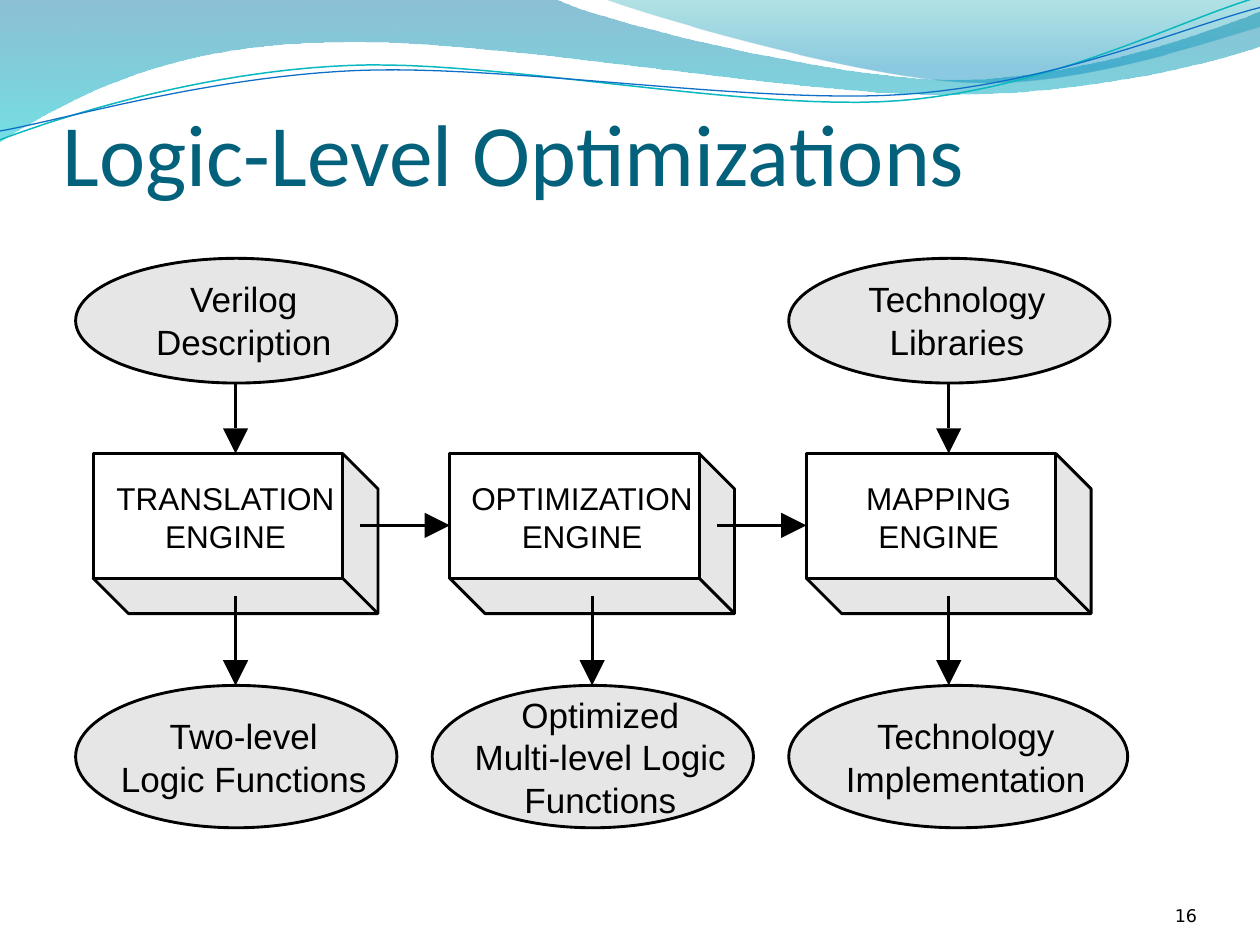
from dataclasses import dataclass

from lxml import etree
from pptx import Presentation
from pptx.dml.color import RGBColor
from pptx.enum.shapes import MSO_CONNECTOR, MSO_SHAPE
from pptx.enum.text import MSO_ANCHOR, PP_ALIGN
from pptx.oxml.ns import qn
from pptx.util import Inches, Pt

OVAL, RECTANGLE = MSO_SHAPE.OVAL, MSO_SHAPE.RECTANGLE
STRAIGHT = MSO_CONNECTOR.STRAIGHT
TOP, BOTTOM = MSO_ANCHOR.TOP, MSO_ANCHOR.BOTTOM
LEFT, CENTER, RIGHT = PP_ALIGN.LEFT, PP_ALIGN.CENTER, PP_ALIGN.RIGHT
Point = tuple[float, float]
Stop = tuple[float, str, int]


@dataclass(frozen=True)
class Theme:
    ink: str = "000000"
    paper: str = "FFFFFF"
    shade: str = "E6E6E6"
    title: str = "04617B"
    title_size: int = 50
    oval_size: int = 20
    block_size: int = 18
    number_size: int = 10
    outline: float = 1.63


@dataclass(frozen=True)
class Wave:
    """Segments hold one point for a line, three for a curve."""
    start: Point
    segments: tuple[tuple[float, ...], ...]
    stops: tuple[Stop, ...] = ()
    line: str = ""
    width: float = 0


@dataclass(frozen=True)
class Line:
    text: str
    width: float


@dataclass(frozen=True)
class Oval:
    column: int
    top: float
    height: float
    text_top: float
    lines: tuple[Line, ...]
    width: float = 2.55


THEME = Theme()
COLUMNS = [1.87 + 2.83 * index for index in range(3)]
OVAL_HALF, TEXT_SHIFT = 1.27, 0.06
UPPER_TOP, UPPER_HEIGHT = 2.05, 0.99
LOWER_TOP, LOWER_HEIGHT = 5.44, 1.13
BLOCK_TOP, BLOCK_WIDTH, BLOCK_HEIGHT, DEPTH = 3.6, 1.98, 0.99, 0.28
BLOCK_OFFSET = 1.13
HEAD = 0.2

WAVES = [
    Wave((0, -0.01), ((4.4, -0.01), (4.76, 0.17, 6.64, 0.63, 7.58, 0.63),
                      (8.53, 0.63, 9.58, 0.26, 10, 0.09), (10.01, 0.36),
                      (9.83, 0.44, 8.7, 0.76, 7.46, 0.75),
                      (6.22, 0.75, 3.82, 0.28, 2.57, 0.34),
                      (1.29, 0.35, 0.46, 0.83, -0.01, 1.13)),
         stops=((0, "0074A1", 45), (1, "00C6CF", 55))),
    Wave((4.79, -0.01), ((5.09, 0.11, 6.82, 0.62, 7.69, 0.65),
                         (8.56, 0.69, 9.61, 0.32, 10, 0.21), (10, 0)),
         stops=((0, "00A1A9", 30), (0.8, "008BBF", 45))),
    Wave((0, 1.11), ((0.48, 0.93, 1.58, 0.57, 2.77, 0.52),
                     (3.95, 0.47, 5.93, 0.89, 7.13, 0.8),
                     (8.33, 0.71, 9.38, 0.15, 9.98, -0.02)),
         line="0AB8BF", width=0.85),
    Wave((0, 1.04), ((0.47, 0.96, 1.64, 0.61, 2.83, 0.56),
                     (4.03, 0.51, 5.97, 0.83, 7.17, 0.75),
                     (8.36, 0.67, 9.41, 0.21, 10, 0.06)),
         line="0F6FC6", width=0.75),
]
OVALS = [
    Oval(0, UPPER_TOP, UPPER_HEIGHT, 2.2, (Line("Verilog", 1.01), Line("Description", 1.54))),
    Oval(2, UPPER_TOP, UPPER_HEIGHT, 2.2, (Line("Technology", 1.59), Line("Libraries", 1.21))),
    Oval(0, LOWER_TOP, LOWER_HEIGHT, 5.67, (Line("Two-level", 1.34), Line("Logic Functions", 2.11))),
    Oval(1, LOWER_TOP, LOWER_HEIGHT, 5.5, (Line("Optimized", 1.4), Line("Multi-level Logic", 2.16),
                                           Line("Functions", 1.35))),
    Oval(2, LOWER_TOP, LOWER_HEIGHT, 5.67, (Line("Technology", 1.59), Line("Implementation", 2.07)), 2.69),
]
BLOCKS = [Line("TRANSLATION", 1.91), Line("OPTIMIZATION", 1.94), Line("MAPPING", 1.29)]


def paint(shape, fill: str = "", line: str = "", width: float = THEME.outline) -> None:
    shape.shadow.inherit = False
    for part, color in ((shape.fill, fill), (shape.line.fill, line)):
        if color:
            part.solid()
            part.fore_color.rgb = RGBColor.from_string(color)
        else:
            part.background()
    if line:
        shape.line.width = Pt(width)


def add_outline(slide, points: list[Point], closed: bool = True):
    scaled = [(Inches(x), Inches(y)) for x, y in points]
    builder = slide.shapes.build_freeform(*scaled[0], scale=1.0)
    builder.add_line_segments(scaled[1:], close=closed)
    return builder.convert_to_shape()


def trace(wave: Wave, steps: int = 24) -> list[Point]:
    points = [wave.start]
    for segment in wave.segments:
        if len(segment) == 2:
            points.append((segment[0], segment[1]))
            continue
        xs, ys = ((points[-1][axis], *segment[axis::2]) for axis in (0, 1))
        for step in range(1, steps + 1):
            t = step / steps
            weights = ((1 - t) ** 3, 3 * t * (1 - t) ** 2, 3 * t * t * (1 - t), t ** 3)
            points.append((sum(w * x for w, x in zip(weights, xs)),
                           sum(w * y for w, y in zip(weights, ys))))
    return points


def add_wave(slide, wave: Wave) -> None:
    shape = add_outline(slide, trace(wave), closed=bool(wave.stops))
    paint(shape, line=wave.line, width=wave.width)
    if not wave.stops:
        return
    shape.fill.gradient()
    shape.fill.gradient_angle = 270
    for stop, (position, color, opacity) in zip(shape.fill.gradient_stops, wave.stops):
        stop.position = position
        stop.color.rgb = RGBColor.from_string(color)
    for node, (_, _, opacity) in zip(shape.fill._xPr.iter(qn("a:srgbClr")), wave.stops):
        etree.SubElement(node, qn("a:alpha"), val=str(opacity * 1000))


def add_text(slide, text: str, box: tuple[float, float, float, float], size: int,
             font: str = "Arial", color: str = THEME.ink, align=CENTER,
             anchor=TOP, wrap: bool = False, inset_top: float = 0) -> None:
    frame = slide.shapes.add_textbox(*map(Inches, box)).text_frame
    frame_format = {"word_wrap": wrap, "vertical_anchor": anchor, "margin_left": 0,
                    "margin_right": 0, "margin_top": Inches(inset_top), "margin_bottom": 0}
    for name, value in frame_format.items():
        setattr(frame, name, value)
    paragraph = frame.paragraphs[0]
    paragraph.alignment = align
    run = paragraph.add_run()
    run.text = text
    for name, value in {"name": font, "size": Pt(size)}.items():
        setattr(run.font, name, value)
    run.font.color.rgb = RGBColor.from_string(color)


def add_lines(slide, lines: tuple[Line, ...], center: float, top: float,
              size: int, pitch: float, height: float) -> None:
    for index, line in enumerate(lines):
        box = (center - line.width / 2, top + index * pitch, line.width, height)
        add_text(slide, line.text, box, size)


def add_preset(slide, kind, box: tuple[float, float, float, float], fill: str) -> None:
    paint(slide.shapes.add_shape(kind, *map(Inches, box)), fill, THEME.ink)


def add_line(slide, start: Point, end: Point) -> None:
    connector = slide.shapes.add_connector(STRAIGHT, *map(Inches, (*start, *end)))
    connector.line.color.rgb = RGBColor.from_string(THEME.ink)
    connector.line.width = Pt(THEME.outline)
    etree.SubElement(connector._element.spPr, qn("a:effectLst"))


def add_oval(slide, oval: Oval) -> None:
    left = COLUMNS[oval.column] - OVAL_HALF
    add_preset(slide, OVAL, (left, oval.top, oval.width, oval.height), THEME.shade)
    add_lines(slide, oval.lines, left + oval.width / 2 + TEXT_SHIFT, oval.text_top,
              THEME.oval_size, 0.34, 0.39)


def add_block(slide, center: float, name: Line) -> None:
    left = center - BLOCK_OFFSET
    right, bottom = left + BLOCK_WIDTH, BLOCK_TOP + BLOCK_HEIGHT
    sides = [(right, BLOCK_TOP), (right + DEPTH, BLOCK_TOP + DEPTH), (right + DEPTH, bottom + DEPTH),
             (left + DEPTH, bottom + DEPTH), (left, bottom)]
    paint(add_outline(slide, sides), THEME.shade, THEME.ink)
    add_preset(slide, RECTANGLE, (left, BLOCK_TOP, BLOCK_WIDTH, BLOCK_HEIGHT), THEME.paper)
    add_line(slide, (right, bottom), (right + DEPTH, bottom + DEPTH))
    add_lines(slide, (name, Line("ENGINE", 1.09)), left + BLOCK_WIDTH / 2 + TEXT_SHIFT, 3.8,
              THEME.block_size, 0.3, 0.36)


def add_arrow(slide, start: Point, tip: Point) -> None:
    x, y = tip
    half = HEAD / 2
    if start[0] == x:
        base, corners = (x, y - HEAD), [(x - half, y - HEAD), (x + half, y - HEAD)]
    else:
        base, corners = (x - HEAD, y), [(x - HEAD, y - half), (x - HEAD, y + half)]
    add_line(slide, start, base)
    paint(add_outline(slide, [tip, *corners]), THEME.ink)


presentation = Presentation()
presentation.slide_width, presentation.slide_height = Inches(10), Inches(7.5)
slide = presentation.slides.add_slide(presentation.slide_layouts[6])

# Wave header, title and page number
for wave in WAVES:
    add_wave(slide, wave)
add_text(slide, "Logic-Level Optimizations", (0.5, 0.37, 9, 1.25), THEME.title_size, "Calibri",
         THEME.title, LEFT, BOTTOM, True, 0.05)
add_text(slide, "16", (8.67, 6.95, 0.83, 0.4), THEME.number_size, "DejaVu Sans",
         align=RIGHT, anchor=BOTTOM, wrap=True)

# Inputs, engines and results
for oval in OVALS:
    add_oval(slide, oval)
for center, name in zip(COLUMNS, BLOCKS):
    add_block(slide, center, name)

# Flow arrows
for center in COLUMNS:
    add_arrow(slide, (center, 4.73), (center, LOWER_TOP))
for center in COLUMNS[::2]:
    add_arrow(slide, (center, UPPER_TOP + UPPER_HEIGHT), (center, BLOCK_TOP))
for center, following in zip(COLUMNS, COLUMNS[1:]):
    add_arrow(slide, (center + 0.99, 4.17), (following - BLOCK_OFFSET, 4.17))

presentation.save("out.pptx")
